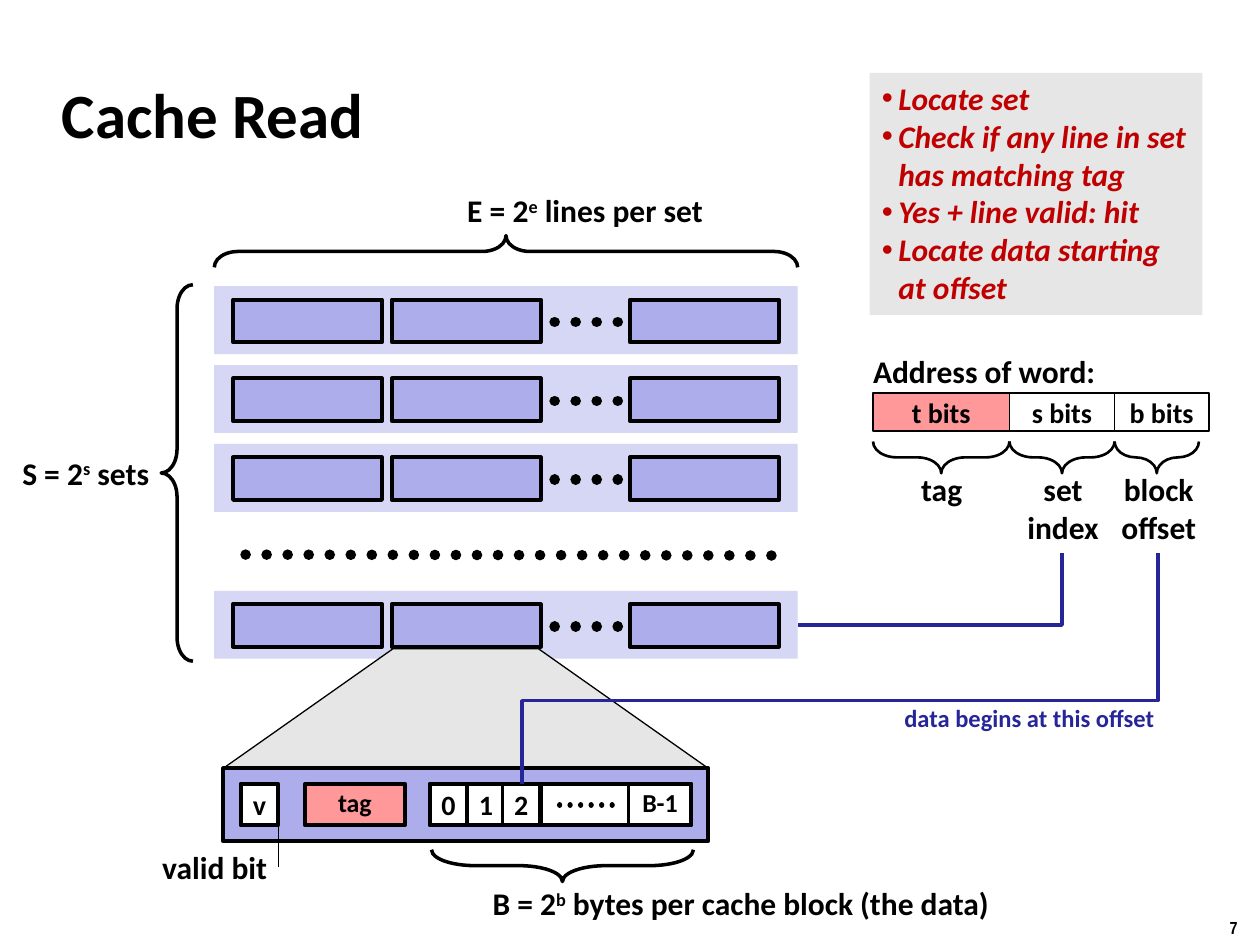
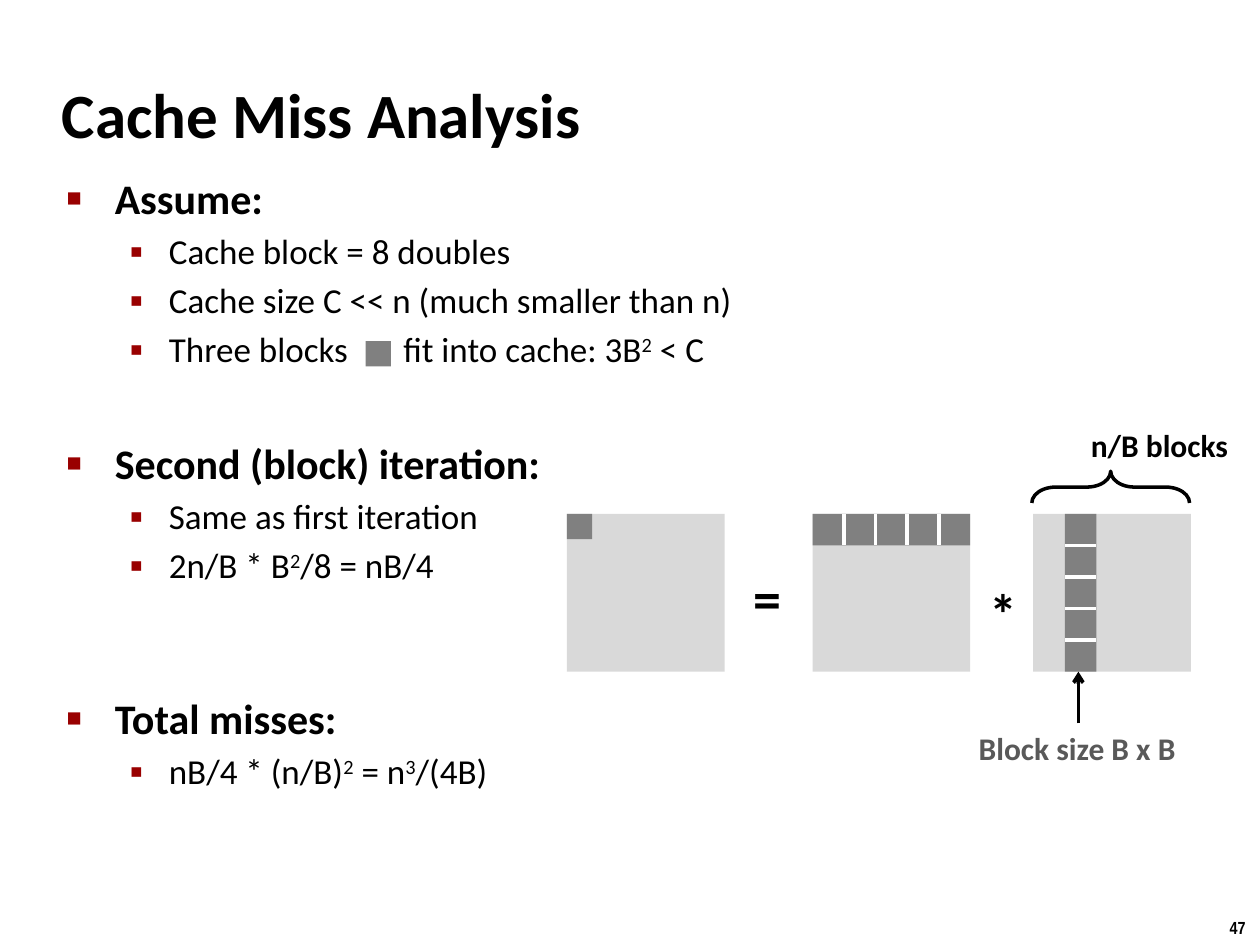
import pptx
import pptx.dml.color
import pptx.enum.dml
import pptx.enum.shapes
import pptx.enum.text
import pptx.oxml.ns
import pptx.util
from lxml import etree

Cm, Pt = pptx.util.Cm, pptx.util.Pt
qn = pptx.oxml.ns.qn
SHAPE = pptx.enum.shapes.MSO_SHAPE
CONNECTOR = pptx.enum.shapes.MSO_CONNECTOR
ALIGN = pptx.enum.text.PP_ALIGN
ANCHOR = pptx.enum.text.MSO_ANCHOR

COLORS = {
    "black": "000000", "white": "FFFFFF", "set": "D6D6F5", "line": "ADADEB",
    "pale": "E6E6E6", "tag": "FF9999", "path": "262699", "red": "C00000",
    "bullet": "990000", "matrix": "D9D9D9", "block": "808080", "note": "595959",
}
FONT = "Calibri"

# Content: ^ encloses a superscript, | marks a gap for the inline block.
# Lengths are centimetres.
TITLES = {7: "Cache Read", 47: "Cache Miss Analysis"}

STEPS = ["Locate set", "Check if any line in set\nhas matching tag",
         "Yes + line valid: hit", "Locate data starting\nat offset"]
READ_LABELS = [  # text, left, top, width, size, colour
    ("E = 2^e^ lines per set", 9.17, 3.73, 5.44, 18, "black"),
    ("S = 2^s^ sets", 0.2, 9.02, 3.12, 18, "black"),
    ("valid bit", 3.02, 16.97, 2.64, 18, "black"),
    ("B = 2^b^ bytes per cache block (the data)", 9.68, 17.7, 10.64, 18, "black"),
    ("Address of word:", 17.35, 6.98, 5.03, 18, "black"),
    ("data begins at this offset", 17.98, 14.05, 5.59, 14, "path"),
]
BLOCK_CELLS = [  # text, left, width, fill, size, line spacing
    ("v", 4.85, 0.76, "white", 16, 1), ("tag", 6.15, 2.01, "tag", 14.8, 0.9),
    ("0", 8.66, 0.76, "white", 16, 1), ("1", 9.42, 0.76, "white", 16, 1),
    ("2", 10.13, 0.76, "white", 16, 1), ("", 10.9, 1.78, "white", 16, 1),
    ("B-1", 12.67, 1.27, "white", 14.8, 0.9),
]
ADDRESS_FIELDS = [  # bits, left, width, brace length, fill, name, name left, name width
    ("t bits", 17.6, 2.75, 2.75, "tag", ["tag"], 18.31, 1.35),
    ("s bits", 20.35, 2.12, 2.12, "white", ["set", "index"], 20.45, 1.96),
    ("b bits", 22.47, 1.9, 1.7, "white", ["block", "offset"], 22.33, 2.06),
]
MISS_POINTS = [  # level, space before, text
    (0, 0, "Assume:"),
    (1, 4, "Cache block = 8 doubles"),
    (1, 4, "Cache size C << n (much smaller than n)"),
    (1, 4, "Three blocks|fit into cache: 3B^2^ < C"),
    (0, 38.5, "Second (block) iteration:"),
    (1, 4, "Same as first iteration"),
    (1, 4, "2n/B * B^2^/8 = nB/4"),
    (0, 61, "Total misses:"),
    (1, 4, "nB/4 * (n/B)^2^ = n^3^/(4B)"),
]
LEVELS = [  # size, bold, margin, hanging, bullet, bullet percent
    (24, True, 0.97, 0.97, "■", 60),
    (20, False, 2.06, 0.79, "▪", 110),
]


# Text
def rgb(name):
    return pptx.dml.color.RGBColor.from_string(COLORS[name])


def add_span(para, text, size, color, bold=True, italic=False, font=FONT):
    span = para.add_run()
    span.text = text
    span.font.name, span.font.size = font, Pt(size)
    span.font.bold, span.font.italic = bold, italic
    span.font.color.rgb = rgb(color)
    return span._r.get_or_add_rPr()


def write(para, text, size=18, color="black", **style):
    for row, line in enumerate(text.split("\n")):
        if row:
            para.add_line_break()
        for order, part in enumerate(line.split("^")):
            for index, words in enumerate(part.split("|")):
                if index:
                    add_span(para, " ", size, color, **style).set("spc", "2700")
                if words:
                    properties = add_span(para, words, size, color, **style)
                    if order % 2:
                        properties.set("baseline", "30000")


def paragraphs(frame, count):
    return [frame.paragraphs[0]] + [frame.add_paragraph() for _ in range(count - 1)]


def set_bullet(para, char, margin, hanging, color, percent=100):
    properties = para._p.get_or_add_pPr()
    properties.set("marL", str(Cm(margin)))
    properties.set("indent", str(-Cm(hanging)))
    tint = etree.SubElement(properties, qn("a:buClr"))
    etree.SubElement(tint, qn("a:srgbClr")).set("val", COLORS[color])
    for tag, key, value in (("a:buSzPct", "val", str(percent * 1000)),
                            ("a:buFont", "typeface", "Arial"),
                            ("a:buChar", "char", char)):
        etree.SubElement(properties, qn(tag)).set(key, value)


def add_label(page, lines, left, top, width, height=1.02, align=ALIGN.LEFT, **style):
    box = page.shapes.add_textbox(Cm(left), Cm(top), Cm(width), Cm(height))
    box.text_frame.word_wrap = False
    for para, line in zip(paragraphs(box.text_frame, len(lines)), lines):
        para.alignment = align
        write(para, line, **style)


# Shapes and lines
def add_box(page, left, top, width, height, fill=None, weight=0, kind=SHAPE.RECTANGLE):
    box = page.shapes.add_shape(kind, Cm(left), Cm(top), Cm(width), Cm(height))
    box.shadow.inherit = False
    if fill:
        box.fill.solid()
        box.fill.fore_color.rgb = rgb(fill)
    else:
        box.fill.background()
    if weight:
        box.line.color.rgb = rgb("black")
        box.line.width = Pt(weight)
    else:
        box.line.fill.background()
    return box


def add_cell(page, text, left, top, width, height, fill, weight, size=16, spacing=1):
    box = add_box(page, left, top, width, height, fill, weight)
    if text:
        box.text_frame.word_wrap = False
        box.text_frame.vertical_anchor = ANCHOR.MIDDLE
        para = box.text_frame.paragraphs[0]
        para.alignment = ALIGN.CENTER
        if spacing != 1:
            para.line_spacing = spacing
        write(para, text, size)


def add_brace(page, left, top, length, tip, weight=2.0, curl=0.75):
    thick = 0.64
    if tip != "left":
        # Place the upright brace on the centre of the lying one
        left, top = left + (length - thick) / 2, top - (length - thick) / 2
    brace = add_box(page, left, top, thick, length, None, weight, SHAPE.LEFT_BRACE)
    brace.rotation = {"left": 0, "up": 90, "down": 270}[tip]
    brace.adjustments[0] = curl


def add_line(page, begin, end, color="black", weight=2.0, dotted=False, arrow=False,
             kind=CONNECTOR.STRAIGHT):
    line = page.shapes.add_connector(kind, *(Cm(value) for value in begin + end))
    line.line.color.rgb = rgb(color)
    line.line.width = Pt(weight)
    outline = line._element.spPr.find(qn("a:ln"))
    if dotted:
        line.line.dash_style = pptx.enum.dml.MSO_LINE.ROUND_DOT
        outline.set("cap", "rnd")
    if arrow:
        etree.SubElement(outline, qn("a:tailEnd")).set("type", "arrow")
    etree.SubElement(line._element.spPr, qn("a:effectLst"))
    return line


def add_elbow(page, begin, end, preset, bend=None):
    """Draw a path that leaves downwards and ends to the lower left."""
    x, y = (begin[0] + end[0]) / 2, (begin[1] + end[1]) / 2
    across, down = (begin[0] - end[0]) / 2, (end[1] - begin[1]) / 2
    line = add_line(page, (x - down, y - across), (x + down, y + across), "path",
                    kind=CONNECTOR.ELBOW)
    shape = line._element.spPr
    shape.find(qn("a:xfrm")).set("rot", "5400000")
    geometry = shape.find(qn("a:prstGeom"))
    geometry.set("prst", preset)
    if bend:
        guide = etree.SubElement(geometry.find(qn("a:avLst")), qn("a:gd"))
        guide.set("name", "adj1")
        guide.set("fmla", f"val {round(bend * 100000)}")


# Shared page frame
def place(holder, left, top, width, height, anchor):
    holder.left, holder.top = Cm(left), Cm(top)
    holder.width, holder.height = Cm(width), Cm(height)
    frame = holder.text_frame
    frame.word_wrap = True
    frame.auto_size = pptx.enum.text.MSO_AUTO_SIZE.NONE
    frame.vertical_anchor = anchor
    return frame


def add_page(deck, number, layout):
    page = deck.slides.add_slide(deck.slide_layouts[layout])
    frame = place(page.shapes.title, 0.99, 1.22, 21.08, 2.11, ANCHOR.MIDDLE)
    frame.paragraphs[0].alignment = ALIGN.LEFT
    write(frame.paragraphs[0], TITLES[number], 36)
    add_label(page, [str(number)], 24.54, 18.36, 0.86, 0.69, size=10, font="Arial Narrow")
    return page


def build_cache_read(deck):
    page = add_page(deck, 7, 5)

    # Cache sets
    left, width, pitch = 4.32, 11.76, 1.59
    for top in [5.77 + pitch * row for row in range(3)] + [11.91]:
        add_box(page, left, top, width, 1.37, "set")
        for line_left in (4.7, 7.9, 12.7):
            add_box(page, line_left, top + 0.27, 3, 0.86, "line", 2.25)
        add_line(page, (11.18, top + 0.72), (12.72, top + 0.72), weight=6, dotted=True)
    add_line(page, (4.95, 11.18), (15.72, 11.2), weight=6, dotted=True)
    add_brace(page, left, 4.75, width, "up")
    add_brace(page, 3.25, 5.74, 7.59, "left")

    # Enlarged cache line
    zoom = add_box(page, 4.5, 13.08, 9.78, 2.41, "pale", 0.75, SHAPE.TRAPEZOID)
    zoom.adjustments[0] = 1.42
    add_box(page, 4.5, 15.49, 9.78, 1.47, "line", 2.25)
    for text, cell_left, cell_width, fill, size, spacing in BLOCK_CELLS:
        add_cell(page, text, cell_left, 15.8, cell_width, 0.84, fill, 2.25, size, spacing)
    add_line(page, (11.28, 16.23), (12.55, 16.23), weight=3, dotted=True)
    add_line(page, (5.61, 17.48), (5.61, 16.64), weight=0.75)
    add_brace(page, 8.7, 17.13, 5.28, "down", curl=1.37)

    # Address of the word
    for bits, start, span, length, fill, name, name_left, name_width in ADDRESS_FIELDS:
        add_cell(page, bits, start, 7.92, span, 0.77, fill, 1)
        add_brace(page, start, 8.9, length, "down", 1.5)
        add_label(page, name, name_left, 9.35, name_width, 0.23 + 0.79 * len(name),
                  ALIGN.CENTER)
    add_elbow(page, (21.41, 11.15), (16.08, 12.6), "bentConnector2")
    add_elbow(page, (23.34, 11.15), (10.52, 15.8), "bentConnector3", 0.64)
    for text, x, y, label_width, size, color in READ_LABELS:
        add_label(page, [text], x, y, label_width, size=size, color=color)

    # Steps of a read
    box = add_box(page, 17.53, 1.47, 6.71, 4.88, "pale")
    box.text_frame.word_wrap = True
    box.text_frame.vertical_anchor = ANCHOR.TOP
    for para, step in zip(paragraphs(box.text_frame, len(STEPS)), STEPS):
        para.alignment = ALIGN.LEFT
        set_bullet(para, "•", 0.33, 0.33, "red")
        write(para, step, color="red", italic=True)


def build_miss_analysis(deck):
    page = add_page(deck, 47, 1)

    # Outline
    frame = place(page.placeholders[1], 1.09, 3.35, 21.95, 14.83, ANCHOR.TOP)
    for para, (level, before, text) in zip(paragraphs(frame, len(MISS_POINTS)), MISS_POINTS):
        size, bold, margin, hanging, char, percent = LEVELS[level]
        para.level = level
        set_bullet(para, char, margin, hanging, "bullet", percent)
        para.space_before = Pt(before)
        write(para, text, size, bold=bold)

    # Matrices with their blocks
    top, side, parts = 10.36, 3.18, 5
    result, row, column = 11.43, 16.38, 20.83
    strip = side / parts
    strip_left = column + strip
    for left in (result, row, column):
        add_box(page, left, top, side, side, "matrix")
    add_box(page, result, top, 0.51, 0.51, "block")
    add_box(page, 7.37, 6.88, 0.51, 0.51, "block")
    add_box(page, row, top, side, strip, "block")
    add_box(page, strip_left, top, strip, side, "block")
    for part in range(1, parts):
        x, y = row + part * strip, top + part * strip
        add_line(page, (x, top), (x, top + strip), "white")
        add_line(page, (strip_left, y), (strip_left + strip, y), "white")

    # Operators and notes
    add_label(page, ["="], 14.94, 11.23, 1.09, 1.63, size=32)
    add_label(page, ["*"], 19.69, 11.53, 1.09, 1.63, size=32)
    add_label(page, ["Block size B x B"], 19.48, 14.58, 4.52, color="note")
    add_line(page, (21.74, 14.58), (21.74, top + side), arrow=True)
    add_brace(page, 20.8, 9.5, side, "up")
    add_label(page, ["n/B blocks"], 21.74, 8.46, 3.3)


def main():
    deck = pptx.Presentation()
    deck.slide_width, deck.slide_height = Cm(25.4), Cm(19.05)
    build_cache_read(deck)
    build_miss_analysis(deck)
    deck.save("out.pptx")


if __name__ == "__main__":
    main()
